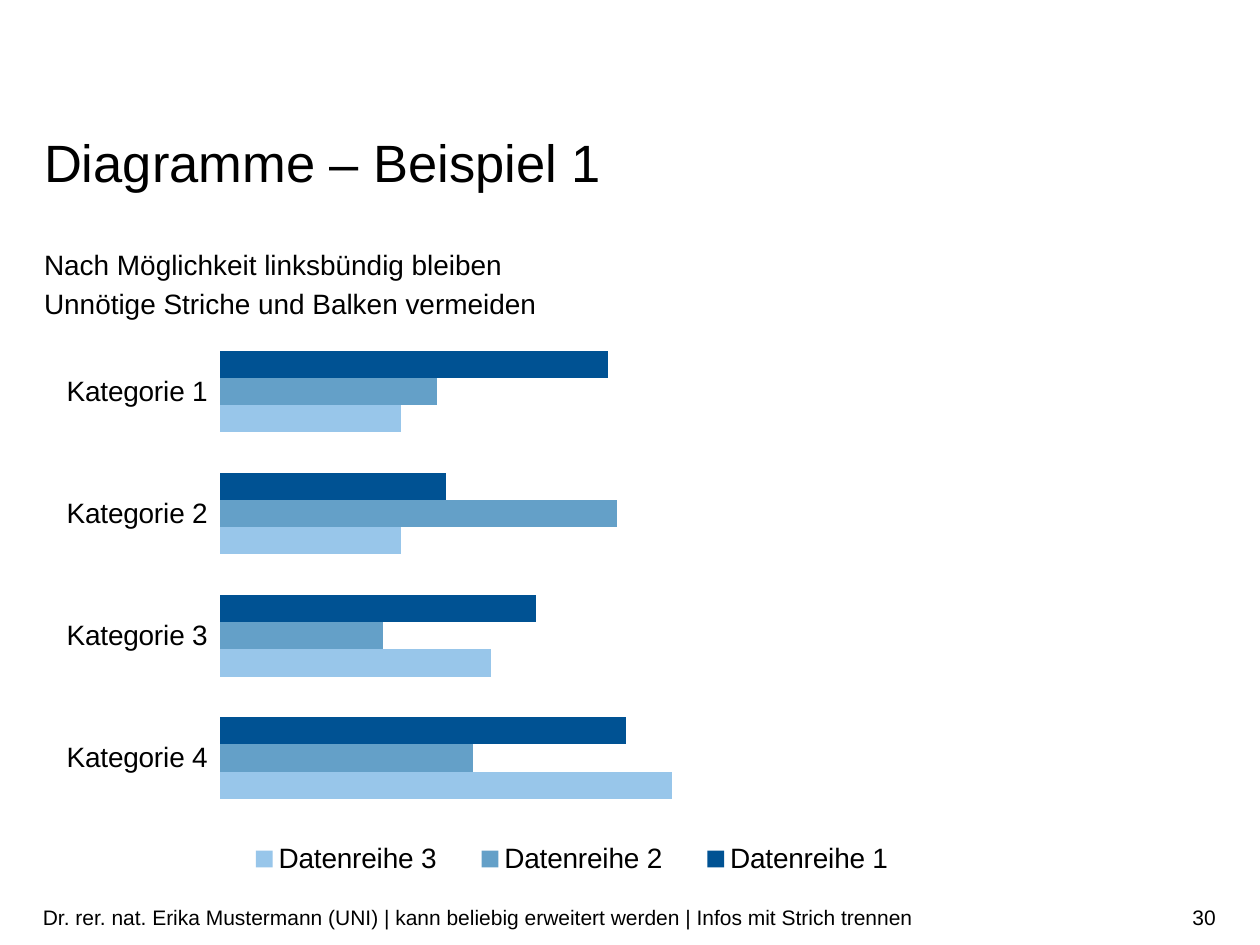
"""Build the slide with a grouped bar chart."""
from lxml.etree import SubElement
from pptx import Presentation
from pptx.chart.data import CategoryChartData
from pptx.dml.color import RGBColor
from pptx.enum.chart import XL_CHART_TYPE, XL_LEGEND_POSITION, XL_TICK_MARK
from pptx.enum.text import MSO_ANCHOR, MSO_AUTO_SIZE, PP_ALIGN
from pptx.oxml import parse_xml
from pptx.oxml.ns import nsdecls, qn
from pptx.util import Inches, Pt

FONT = "Arial"
COLORS = {"text": "000000", "dark": "005293", "mid": "64A0C8", "light": "98C6EA"}
TITLE = "Diagramme – Beispiel 1"
BODY = ["Nach Möglichkeit linksbündig bleiben", "Unnötige Striche und Balken vermeiden"]
FOOTER = "Dr. rer. nat. Erika Mustermann (UNI) | kann beliebig erweitert werden | Infos mit Strich trennen"
NUMBER = "30"
CATS = [f"Kategorie {n}" for n in range(1, 5)]
SERIES = [
    ("Datenreihe 1", (86, 50, 70, 90), "dark"),
    ("Datenreihe 2", (48, 88, 36, 56), "mid"),
    ("Datenreihe 3", (40, 40, 60, 100), "light"),
]
PLOT = (0.163, 0.003, 0.462, 0.843)
LEGEND = (0.163, 0.88, 0.6, 0.07)


def color(name):
    return RGBColor.from_string(COLORS[name])


def style(font, size):
    font.name, font.size = FONT, Pt(size)
    font.color.rgb = color("text")


def write(shape, lines, box, size=12, align=PP_ALIGN.LEFT, anchor=MSO_ANCHOR.TOP,
          pad=0, lead=1.0, fit=MSO_AUTO_SIZE.NONE):
    shape.left, shape.top, shape.width, shape.height = map(Inches, box)
    frame = shape.text_frame
    frame.word_wrap, frame.auto_size, frame.vertical_anchor = True, fit, anchor
    frame.margin_left = frame.margin_right = 0
    frame.margin_top = frame.margin_bottom = Inches(pad)
    frame.text = "\n".join(lines)
    for para in frame.paragraphs:
        para.alignment, para.line_spacing = align, lead
        para.space_before = para.space_after = Pt(0)
        props = para._p.get_or_add_pPr()
        props.set("marL", "0")
        props.set("indent", "0")
        SubElement(props, qn("a:buNone"))
        for run in para.runs:
            style(run.font, size)


def layout(box, inner=False):
    target = '<c:layoutTarget val="inner"/>' if inner else ""
    modes = "".join(f'<c:{k}Mode val="edge"/>' for k in "xy")
    sizes = "".join(f'<c:{k} val="{v}"/>' for k, v in zip("xywh", box))
    return parse_xml(f'<c:layout {nsdecls("c")}><c:manualLayout>{target}{modes}{sizes}'
                     '</c:manualLayout></c:layout>')


def place(parent, node, index):
    for old in parent.findall(qn("c:layout")):
        parent.remove(old)
    parent.insert(index, node)


def draw(slide):
    data = CategoryChartData()
    data.categories = CATS
    for name, vals, _ in SERIES:
        data.add_series(name, vals)
    box = map(Inches, (0.23, 2.61, 9.31, 4.6))
    chart = slide.shapes.add_chart(XL_CHART_TYPE.BAR_CLUSTERED, *box, data).chart
    style(chart.font, 16)
    chart.has_title = False
    chart.has_legend = True
    chart.legend.position = XL_LEGEND_POSITION.RIGHT
    chart.legend.include_in_layout = False
    place(chart.legend._element, layout(LEGEND), 1)
    plot = chart.plots[0]
    plot.gap_width, plot.overlap, plot.vary_by_categories = 150, 0, False
    place(chart._chartSpace.chart.plotArea, layout(PLOT, True), 0)
    for bars, (_, _, hue) in zip(plot.series, SERIES):
        bars.format.fill.solid()
        bars.format.fill.fore_color.rgb = color(hue)
    cat, val = chart.category_axis, chart.value_axis
    cat.reverse_order = True
    cat.major_tick_mark = XL_TICK_MARK.OUTSIDE
    cat.format.line.fill.background()
    val.minimum_scale, val.maximum_scale = 0, 120
    val.has_major_gridlines = False
    val.visible = False


def main():
    deck = Presentation()
    deck.slide_width, deck.slide_height = Inches(10), Inches(7.5)
    slide = deck.slides.add_slide(deck.slide_layouts[1])
    write(slide.shapes.title, [TITLE], (0.35, 1.09, 9.31, 0.45), size=30,
          lead=Pt(32), fit=MSO_AUTO_SIZE.SHAPE_TO_FIT_TEXT)
    write(slide.placeholders[1], BODY, (0.35, 1.93, 9.31, 0.78), size=16, lead=1.14)
    for text, left, wide, align in ((NUMBER, 7.41, 2.24, PP_ALIGN.RIGHT),
                                    (FOOTER, 0.34, 7.07, PP_ALIGN.LEFT)):
        write(slide.shapes.add_textbox(0, 0, 0, 0), [text], (left, 7.08, wide, 0.4),
              align=align, anchor=MSO_ANCHOR.MIDDLE, pad=0.05)
    draw(slide)
    deck.save("out.pptx")


main()
